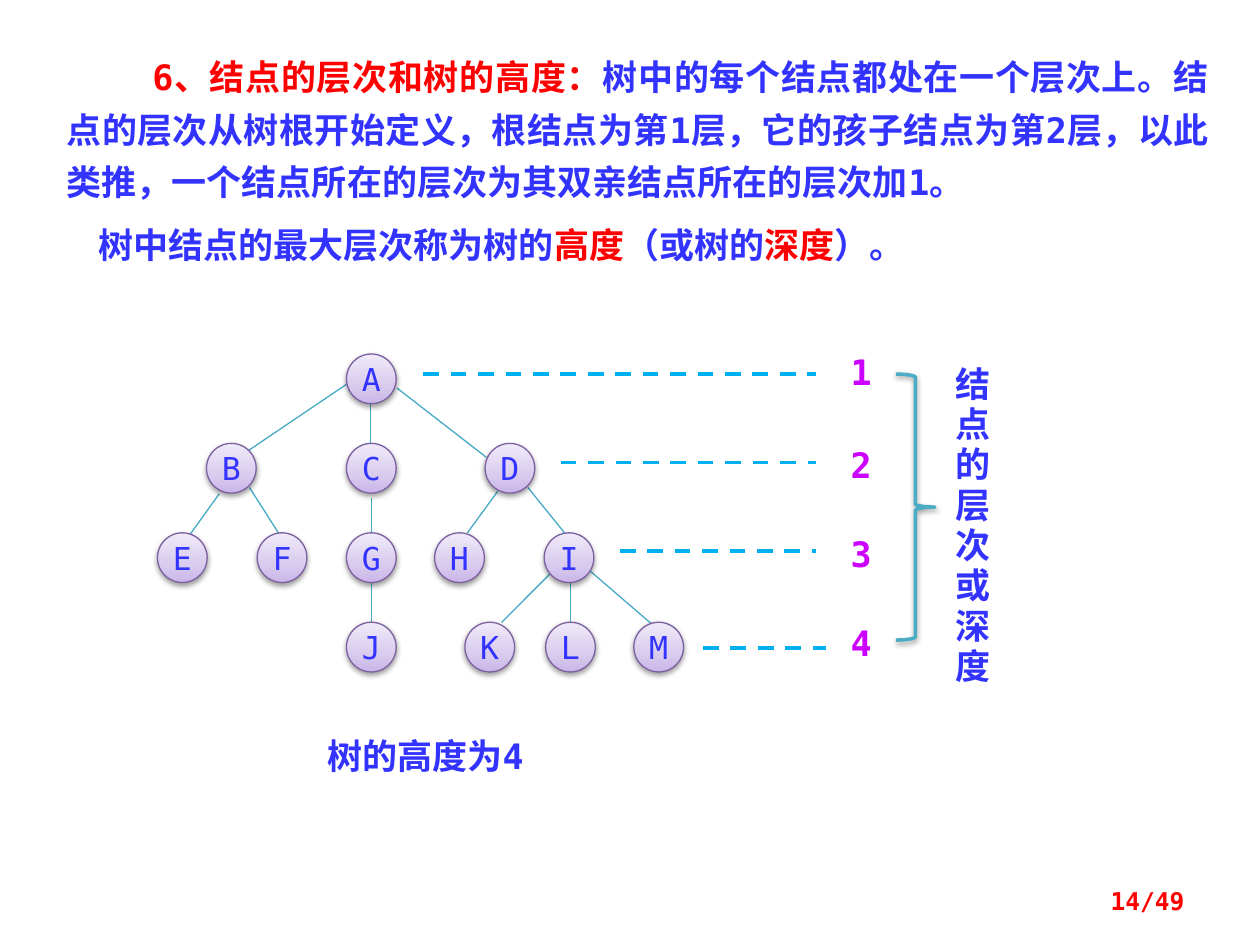
from copy import deepcopy
from dataclasses import dataclass

from lxml.etree import SubElement
from pptx import Presentation
from pptx.dml.color import RGBColor
from pptx.enum.dml import MSO_LINE
from pptx.enum.shapes import MSO_CONNECTOR, MSO_SHAPE
from pptx.enum.text import MSO_ANCHOR, PP_ALIGN
from pptx.oxml.ns import qn
from pptx.util import Pt


@dataclass(frozen=True)
class Theme:
    font: str = "DejaVu Sans Mono"
    text: str = "3333FF"
    accent: str = "FF0000"
    level: str = "CC00FF"
    edge: str = "46AAC5"
    dash: str = "00B0F0"
    brace: str = "4BACC6"
    node_line: str = "7D60A0"
    node_stops: tuple = ((0, "C9B5E8"), (0.35, "D8CBEE"), (1, "F0EAF9"))
    body_size: float = 20
    node_size: float = 18
    number_size: float = 14


THEME = Theme()

DEFINITION = (
    (49, (("6、结点的层次和树的高度：", THEME.accent),
          ("树中的每个结点都处在一个层次上。结点的层次从树根开始定义，"
           "根结点为第1层，它的孩子结点为第2层，以此类推，"
           "一个结点所在的层次为其双亲结点所在的层次加1。", THEME.text))),
    (18, (("树中结点的最大层次称为树的", THEME.text), ("高度", THEME.accent),
          ("（或树的", THEME.text), ("深度", THEME.accent), ("）。", THEME.text))),
)

NODE_DIAMETER = 28.4
LEVEL_GAP = 51.1
# Left edge of each node, one row for each level of the tree
TREE_LEVELS = (
    {"A": 108},
    {"B": 28, "C": 108, "D": 187.2},
    {"E": 0, "F": 57, "G": 108, "H": 158.4, "I": 221},
    {"J": 108, "K": 175.7, "L": 221.8, "M": 272.2},
)
TREE_EDGES = (
    (108, 17.3, 50.4, 56.2), (121.9, 28.8, 121.9, 51.1), (136.8, 19.4, 187.9, 59),
    (35.3, 79.9, 18.7, 103), (52.6, 76.3, 69.1, 102.2), (122.4, 82.1, 122.4, 102.2),
    (194.4, 78.5, 177.1, 102.2), (211.7, 76.3, 232.6, 102.2),
    (122.4, 130.3, 122.4, 153.4), (224.6, 125.3, 196.6, 153.4),
    (236.2, 130.3, 236.2, 153.4), (247, 123.8, 282.2, 154.1),
)
# Label top, dash height, dash start and dash end for each level
LEVEL_MARKS = (
    (0, 17.3, 0, 224.6),
    (53.3, 67.7, 78.5, 224.6),
    (104.4, 118.1, 112.3, 224.6),
    (154.8, 173.5, 159.8, 230.4),
)


def style_font(font, size, colour, bold=True):
    font.name, font.size, font.bold = THEME.font, Pt(size), bold
    font.color.rgb = RGBColor.from_string(colour)


def add_text(slide, box, text, size, colour, align=PP_ALIGN.LEFT):
    shape = slide.shapes.add_textbox(*map(Pt, box))
    shape.text_frame.word_wrap = True
    paragraph = shape.text_frame.paragraphs[0]
    paragraph.text = text
    paragraph.alignment = align
    style_font(paragraph.font, size, colour)
    return shape


def add_line(slide, ends, colour, width, dashed=False):
    connector = slide.shapes.add_connector(MSO_CONNECTOR.STRAIGHT, *map(Pt, ends))
    connector.line.color.rgb = RGBColor.from_string(colour)
    connector.line.width = Pt(width)
    if dashed:
        connector.line.dash_style = MSO_LINE.DASH
    SubElement(connector._element.spPr, qn("a:effectLst"))


def add_shadow(shape):
    """Give the shape a soft shadow straight below it."""
    shape.shadow.inherit = False
    effects = shape._element.spPr.find(qn("a:effectLst"))
    shadow = SubElement(effects, qn("a:outerShdw"), blurRad=str(Pt(3.1)),
                        dist=str(Pt(1.6)), dir="5400000", rotWithShape="0")
    colour = SubElement(shadow, qn("a:srgbClr"), val="000000")
    SubElement(colour, qn("a:alpha"), val="38000")


def fill_gradient(shape, stops):
    """Fill from bottom to top through three colour stops."""
    shape.fill.gradient()
    shape.fill.gradient_angle = 90
    stop_list = shape._element.spPr.find(".//" + qn("a:gsLst"))
    stop_list.append(deepcopy(stop_list[0]))
    for stop, (position, colour) in zip(shape.fill.gradient_stops, stops):
        stop.position = position
        stop.color.rgb = RGBColor.from_string(colour)


def add_node(slide, left, top, letter):
    node = slide.shapes.add_shape(MSO_SHAPE.OVAL, Pt(left), Pt(top),
                                  Pt(NODE_DIAMETER), Pt(NODE_DIAMETER))
    fill_gradient(node, THEME.node_stops)
    node.line.color.rgb = RGBColor.from_string(THEME.node_line)
    node.line.width = Pt(0.75)
    add_shadow(node)
    frame = node.text_frame
    frame.word_wrap = False
    frame.vertical_anchor = MSO_ANCHOR.MIDDLE
    paragraph = frame.paragraphs[0]
    paragraph.text = letter
    paragraph.alignment = PP_ALIGN.CENTER
    style_font(paragraph.font, THEME.node_size, THEME.text, bold=False)


def add_definition(slide, box):
    shape = slide.shapes.add_textbox(*map(Pt, box))
    frame = shape.text_frame
    frame.word_wrap = True
    for index, (indent, runs) in enumerate(DEFINITION):
        paragraph = frame.add_paragraph() if index else frame.paragraphs[0]
        paragraph.alignment = PP_ALIGN.JUSTIFY
        paragraph.line_spacing = Pt(30)
        if index:
            paragraph.space_before = Pt(6)
        paragraph._p.get_or_add_pPr().set("indent", str(Pt(indent)))
        for text, colour in runs:
            run = paragraph.add_run()
            run.text = text
            style_font(run.font, THEME.body_size, colour)


def add_tree(slide, left, top):
    for x1, y1, x2, y2 in TREE_EDGES:
        add_line(slide, (left + x1, top + y1, left + x2, top + y2), THEME.edge, 0.75)
    for depth, nodes in enumerate(TREE_LEVELS):
        for letter, offset in nodes.items():
            add_node(slide, left + offset, top + depth * LEVEL_GAP, letter)


def add_level_marks(slide, left, top):
    for number, (label_top, height, start, end) in enumerate(LEVEL_MARKS, 1):
        add_text(slide, (left + 236.2, top + label_top, 28, 31), str(number),
                 THEME.body_size, THEME.level, PP_ALIGN.CENTER)
        add_line(slide, (left + start, top + height, left + end, top + height),
                 THEME.dash, 2.25, dashed=True)


def add_depth_brace(slide, left, top):
    brace = slide.shapes.add_shape(MSO_SHAPE.RIGHT_BRACE, Pt(left), Pt(top + 11.5),
                                   Pt(22.3), Pt(152))
    brace.fill.background()
    brace.line.color.rgb = RGBColor.from_string(THEME.brace)
    brace.line.width = Pt(2)
    add_shadow(brace)
    label = add_text(slide, (left + 20.2, top, 38.9, 196.6), "结点的层次或深度",
                     THEME.body_size, THEME.text)
    label.text_frame._txBody.bodyPr.set("vert", "eaVert")
    run = label.text_frame.paragraphs[0].runs[0]
    run._r.get_or_add_rPr().set("spc", "300")


def main():
    presentation = Presentation()
    presentation.slide_width, presentation.slide_height = Pt(720), Pt(540)
    slide = presentation.slides.add_slide(presentation.slide_layouts[6])
    add_definition(slide, (31, 22.3, 666.7, 134.6))
    add_tree(slide, 90, 202.3)
    add_level_marks(slide, 241.9, 196.6)
    add_text(slide, (180, 416.2, 146.2, 31.7), "树的高度为4", THEME.body_size, THEME.text)
    add_depth_brace(slide, 511.9, 202.3)
    number = add_text(slide, (516.2, 500.4, 167.8, 28.8), "14/49",
                      THEME.number_size, THEME.accent, PP_ALIGN.RIGHT)
    number.text_frame.vertical_anchor = MSO_ANCHOR.MIDDLE
    presentation.save("out.pptx")


if __name__ == "__main__":
    main()
